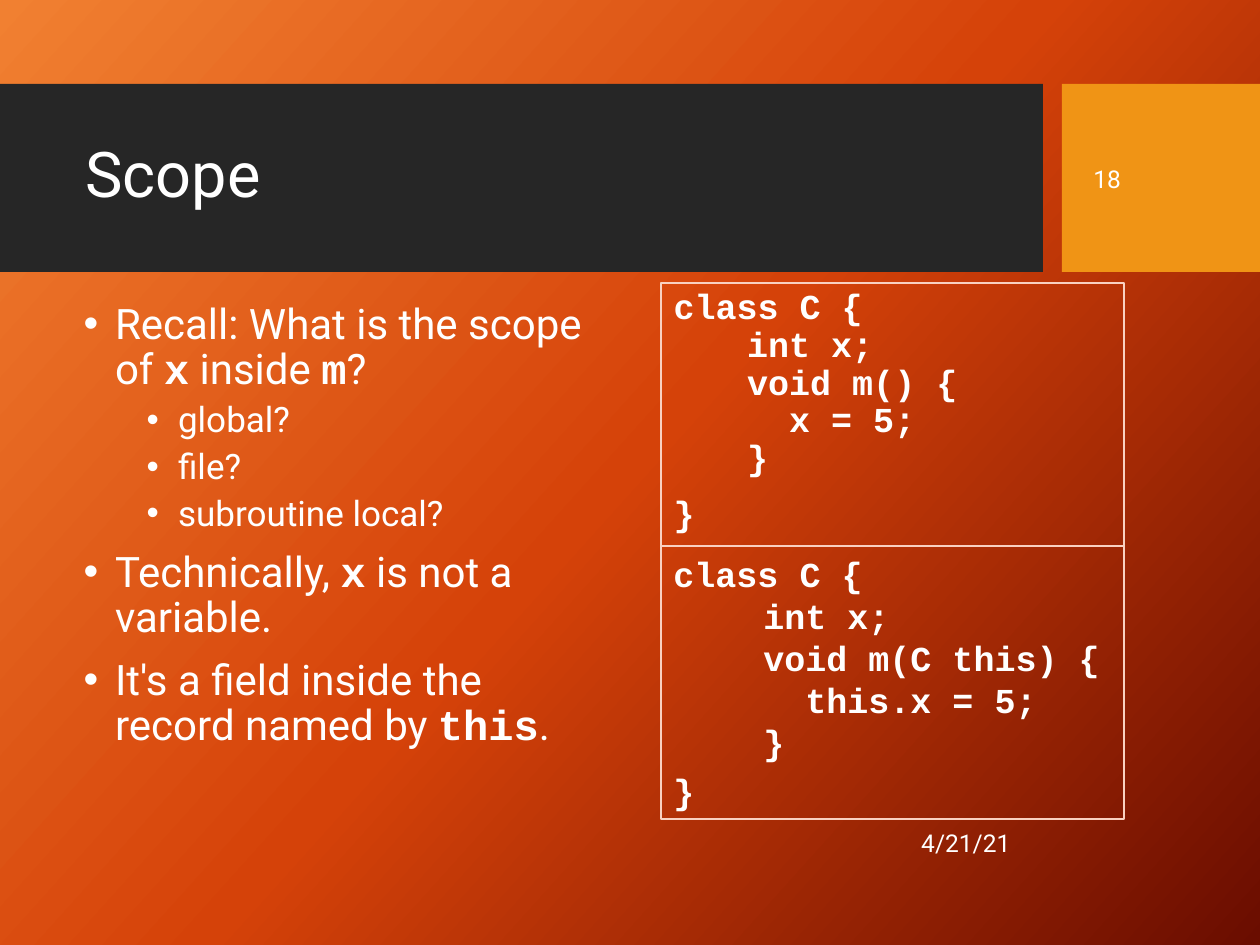
from copy import deepcopy

from lxml.etree import SubElement
from pptx import Presentation
from pptx.dml.color import RGBColor
from pptx.enum.shapes import MSO_SHAPE
from pptx.enum.text import MSO_ANCHOR as Anchor, MSO_AUTO_SIZE as AutoSize, PP_ALIGN as Align
from pptx.oxml.ns import qn
from pptx.util import Emu, Inches, Pt

PX = Inches(1) // 126
SANS, MONO = "Roboto", "Courier New"
WHITE, DARK, ORANGE, PEACH = "FFFFFF", "262626", "F09415", "F9D1C1"
BACKGROUND = [(0, "F18031"), (0.5, "D54209"), (1, "6A0D00")]

# Text between backticks is code.
POINTS = [
    (0, "Recall: What is the scope of `x` inside `m`?"),
    (1, "global?"),
    (1, "file?"),
    (1, "subroutine local?"),
    (0, "Technically, `x` is not a variable."),
    (0, "It's a field inside the record named by `this`."),
]
FIELD_CODE = ["class C {\n  int x;\n  void m() {\n    x = 5;\n  }", "}"]
THIS_CODE = ["class C {\n  int x;\n  void m(C this) {\n    this.x = 5;\n  }", "}"]


def rgb(color):
    return RGBColor.from_string(color)


def place(shape, left, top, width, height):
    shape.left, shape.top = Emu(left * PX), Emu(top * PX)
    shape.width, shape.height = Emu(width * PX), Emu(height * PX)


def style(span, size, font=SANS, bold=False):
    span.font.size, span.font.name, span.font.bold = Pt(size), font, bold
    span.font.color.rgb = rgb(WHITE)


def hang(para, margin, indent, bullet=None):
    """Set a hanging indent in inches, with a bullet or none."""
    props = para._p.get_or_add_pPr()
    props.set("marL", str(Inches(margin)))
    props.set("indent", str(-Inches(indent)))
    if bullet:
        SubElement(props, qn("a:buFont"), typeface="Arial")
        SubElement(props, qn("a:buChar"), char=bullet)
    else:
        SubElement(props, qn("a:buNone"))


def paragraphs(frame, count):
    """Return the first paragraph and as many new ones as are needed."""
    return [frame.paragraphs[0]] + [frame.add_paragraph() for _ in range(count - 1)]


def paint_background(page):
    fill = page.background.fill
    fill.gradient()
    fill.gradient_angle = 360 - 42
    stop_list = page.element.find(".//" + qn("a:gsLst"))
    stop_list.append(deepcopy(stop_list[-1]))
    for stop, (position, color) in zip(fill.gradient_stops, BACKGROUND):
        stop.position = position
        stop.color.rgb = rgb(color)


def add_band(page, left, width, color):
    """Add a header block behind the placeholders."""
    band = page.shapes.add_shape(MSO_SHAPE.RECTANGLE, 0, 0, 0, 0)
    place(band, left, 84, width, 188)
    band.shadow.inherit = False
    band.fill.solid()
    band.fill.fore_color.rgb = rgb(color)
    band.line.fill.background()
    page.shapes._spTree.insert(2, band._element)


def add_box(page):
    box = page.shapes.add_textbox(0, 0, 0, 0)
    box.text_frame.word_wrap = True
    return box


def write_line(box, text, size, align=Align.LEFT):
    """Write one line, centred vertically."""
    frame = box.text_frame
    frame.text = text
    frame.auto_size = AutoSize.NONE
    frame.vertical_anchor = Anchor.MIDDLE
    frame.paragraphs[0].alignment = align
    style(frame.paragraphs[0].runs[0], size)


def write_points(box, points):
    frame = box.text_frame
    frame.auto_size = AutoSize.NONE
    for para, (level, text) in zip(paragraphs(frame, len(points)), points):
        para.level = level
        para.line_spacing = 0.9
        para.space_before = Pt(5 if level else 10)
        hang(para, 0.75 if level else 0.25, 0.25, "•")
        for index, part in enumerate(text.split("`")):
            is_code = index % 2 == 1
            span = para.add_run()
            span.text = part
            style(span, 20 if level else 24, MONO if is_code else SANS, is_code)


def write_code(box, blocks, indent, line_spacing, space_before):
    box.line.color.rgb = rgb(PEACH)
    box.line.width = Pt(0.75)
    frame = box.text_frame
    frame.auto_size = AutoSize.NONE
    for para, block in zip(paragraphs(frame, len(blocks)), blocks):
        para.text = block
        para.line_spacing = line_spacing
        para.space_before = Pt(space_before)
        hang(para, indent, indent)
        for span in para.runs:
            style(span, 20, MONO, True)
        for line_break in para._p.findall(qn("a:br")):
            line_break.append(deepcopy(para.runs[0]._r.rPr))


def main():
    deck = Presentation()
    deck.slide_width, deck.slide_height = Inches(10), Inches(7.5)
    page = deck.slides.add_slide(deck.slide_layouts[3])
    paint_background(page)
    add_band(page, 0, 1043, DARK)
    add_band(page, 1062, 198, ORANGE)

    title, points, field_code = page.placeholders
    place(title, 73, 103, 949, 149)
    write_line(title, "Scope", 36)
    title.text_frame.paragraphs[0].line_spacing = 0.9
    place(points, 71, 297, 525, 507)
    write_points(points, POINTS)
    place(field_code, 661, 283, 463, 263)
    write_code(field_code, FIELD_CODE, 0.25, 0.9, 10)

    date = add_box(page)
    place(date, 740, 818, 283, 50)
    write_line(date, "4/21/21", 14, Align.RIGHT)
    number = add_box(page)
    place(number, 1081, 104, 160, 150)
    write_line(number, "18", 14)
    this_code = add_box(page)
    place(this_code, 661, 546, 463, 273)
    write_code(this_code, THIS_CODE, 0.38, 1.0, 4)

    deck.save("out.pptx")


if __name__ == "__main__":
    main()
